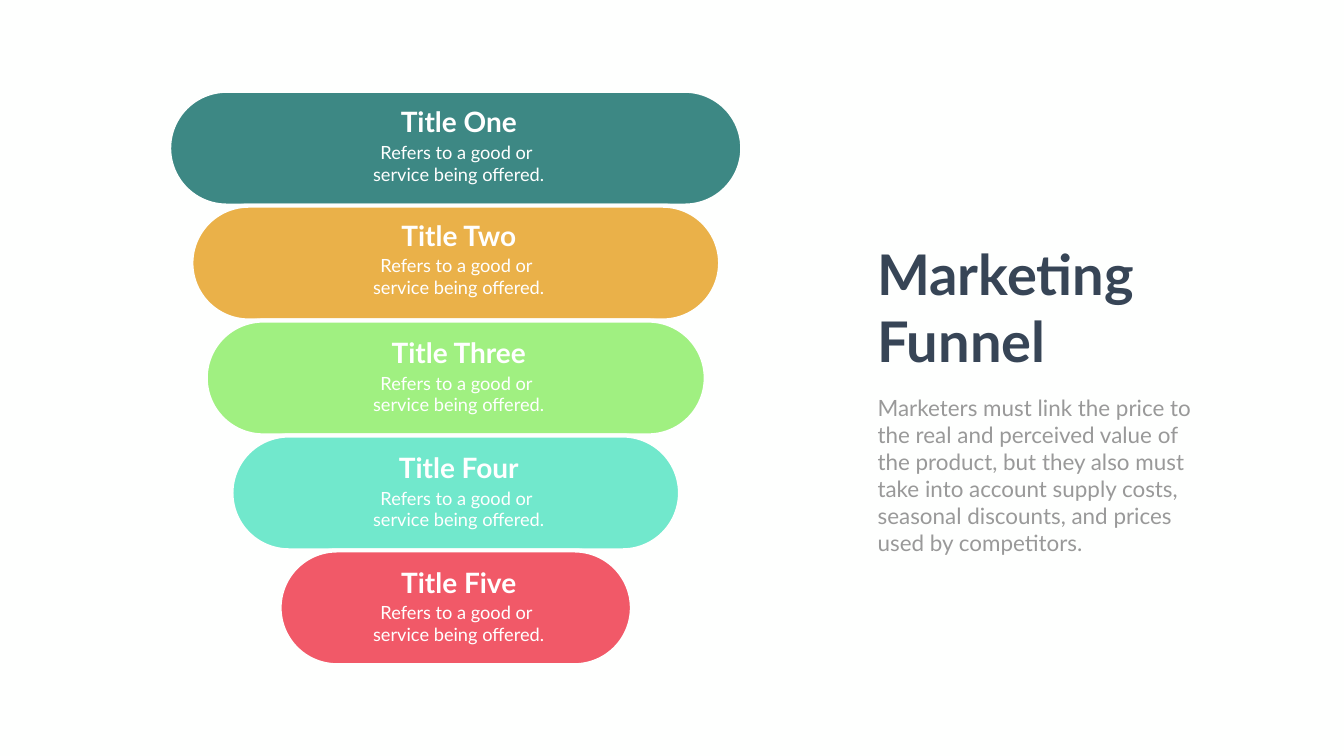
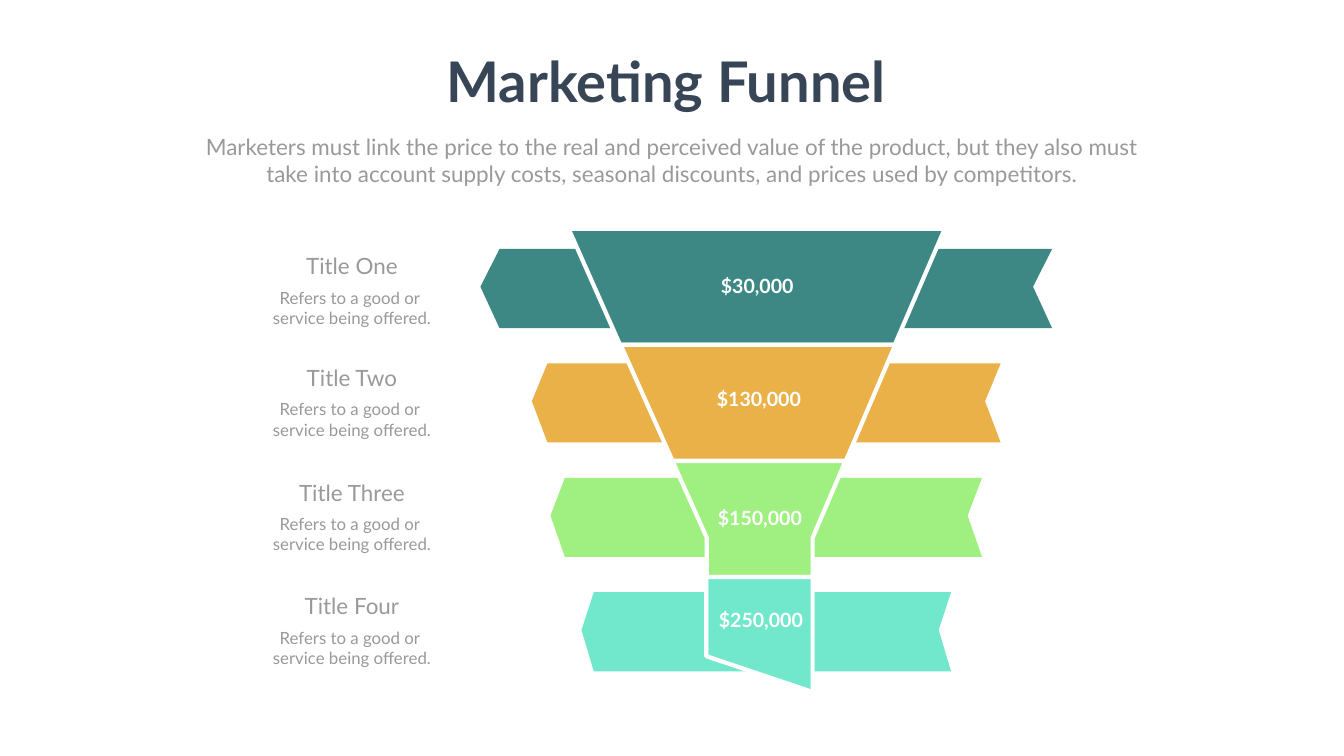
from pptx import Presentation
from pptx.dml.color import RGBColor
from pptx.enum.shapes import MSO_SHAPE
from pptx.enum.text import PP_ALIGN
from pptx.util import Inches, Pt

FONT = "Lato"
PAPER, WHITE, NAVY, GRAY = "FEFFFE", "FFFFFF", "374556", "999999"
COLORS = ["3D8884", "EAB149", "A0F081", "71E8CC", "F15968"]
INSET = 0.1  # default side margin of a text box

HEADING = "Marketing Funnel"
INTRO = ("Marketers must link the price to the real and perceived value of the product, "
         "but they also must take into account supply costs, seasonal discounts, "
         "and prices used by competitors.")
DESCRIPTION = ["Refers to a good or ", "service being offered."]
DESCRIPTION_EM = 9.58  # text width divided by text size

# label, text width divided by text size
STAGES = [("Title One", 4.21), ("Title Two", 4.28), ("Title Three", 4.91),
          ("Title Four", 4.37), ("Title Five", 4.18)]

# pill width, label top
PILLS = [(11.37, 2.03), (10.49, 4.28), (9.92, 6.61), (8.9, 8.89), (6.99, 11.17)]
PILL_CENTER, PILL_TOP, PILL_HEIGHT = 9.04, 1.8, 2.28

# ribbon width, label top, amount, its left, top and width
RIBBONS = [
    (11.34, 4.95, "$30,000", 14.2, 5.38, 1.66),
    (9.3, 7.17, "$130,000", 14.12, 7.63, 1.89),
    (8.56, 9.45, "$150,000", 14.14, 9.99, 1.89),
    (7.33, 11.7, "$250,000", 14.16, 12.02, 1.89),
]
RIBBON_CENTER, RIBBON_TOP, RIBBON_HEIGHT, RIBBON_PITCH = 15.2, 4.94, 1.57, 2.27

FUNNEL = [
    [(11.28, 4.54), (18.74, 4.54), (17.75, 6.84), (12.3, 6.84)],
    [(12.31, 6.84), (17.76, 6.84), (16.78, 9.14), (13.34, 9.14)],
    [(13.34, 9.15), (16.77, 9.15), (16.12, 10.67), (16.12, 11.45),
     (14.02, 11.45), (14.02, 10.67)],
    [(14.01, 11.45), (16.12, 11.45), (16.12, 13.73), (14.01, 13.02)],
]


def rgb(color):
    return RGBColor.from_string(color)


def add_slide(deck):
    slide = deck.slides.add_slide(deck.slide_layouts[6])
    slide.background.fill.solid()
    slide.background.fill.fore_color.rgb = rgb(PAPER)
    return slide


def paint(shape, color, outlined):
    shape.shadow.inherit = False
    shape.fill.solid()
    shape.fill.fore_color.rgb = rgb(color)
    if outlined:
        shape.line.color.rgb = rgb(PAPER)
        shape.line.width = Pt(6)
    else:
        shape.line.fill.background()


def add_polygon(slide, points, color, outlined=False):
    first, *rest = [(Inches(x), Inches(y)) for x, y in points]
    builder = slide.shapes.build_freeform(*first)
    builder.add_line_segments(rest, close=True)
    paint(builder.convert_to_shape(), color, outlined)


def add_text(slide, lines, left, top, width, size, color, bold=False,
             align=PP_ALIGN.CENTER, wrap=False, rows=None):
    """Write one paragraph per line in a box as high as its rows of text."""
    height = (rows or len(lines)) * size / 60 + INSET
    frame = slide.shapes.add_textbox(
        Inches(left), Inches(top), Inches(width), Inches(height)).text_frame
    frame.word_wrap = wrap
    for index, line in enumerate(lines):
        paragraph = frame.add_paragraph() if index else frame.paragraphs[0]
        paragraph.alignment = align
        run = paragraph.add_run()
        run.text = line
        run.font.name = FONT
        run.font.size = Pt(size)
        run.font.bold = bold
        run.font.color.rgb = rgb(color)


def add_stage(slide, stage, center, top, drop, label_size, text_size, color, bold):
    """Write a stage label with its description `drop` inches below."""
    label, label_em = stage
    for lines, em, y, size, strong in (
            (DESCRIPTION, DESCRIPTION_EM, top + drop, text_size, False),
            ([label], label_em, top, label_size, bold)):
        width = em * size / 72 + 2 * INSET
        add_text(slide, lines, center - width / 2, y, width, size, color, strong)


def build_pill_slide(deck):
    slide = add_slide(deck)
    for row, ((width, _), color) in enumerate(zip(PILLS, COLORS)):
        pill = slide.shapes.add_shape(
            MSO_SHAPE.ROUNDED_RECTANGLE, Inches(PILL_CENTER - width / 2),
            Inches(PILL_TOP + row * PILL_HEIGHT), Inches(width), Inches(PILL_HEIGHT))
        pill.adjustments[0] = 0.5
        paint(pill, color, outlined=True)
    add_text(slide, [HEADING], 17.3, 4.7, 5.57, 80, NAVY, True,
             PP_ALIGN.LEFT, wrap=True, rows=2)
    add_text(slide, [INTRO], 17.31, 7.78, 6.63, 32, GRAY,
             align=PP_ALIGN.LEFT, wrap=True, rows=6)
    for stage, (_, label_top) in zip(STAGES, PILLS):
        add_stage(slide, stage, 9.1, label_top, 0.72, 40, 26, WHITE, True)


def ribbon_points(width, top):
    left, right = RIBBON_CENTER - width / 2, RIBBON_CENTER + width / 2
    bottom, middle, notch = top + RIBBON_HEIGHT, top + 0.75, width / 30
    return [(left + notch, top), (right, top), (right - notch, middle),
            (right, bottom), (left + notch, bottom), (left, middle)]


def build_ribbon_slide(deck):
    slide = add_slide(deck)
    for row, ((width, *_), color) in enumerate(zip(RIBBONS, COLORS)):
        add_polygon(slide, ribbon_points(width, RIBBON_TOP + row * RIBBON_PITCH), color)
    for points, color in zip(FUNNEL, COLORS):
        add_polygon(slide, points, color, outlined=True)
    add_text(slide, [HEADING], 8.65, 0.87, 9.13, 80, NAVY, True)
    add_text(slide, [INTRO], 3.79, 2.6, 19.08, 32, GRAY, wrap=True, rows=2)
    for stage, (_, label_top, amount, left, top, width) in zip(STAGES, RIBBONS):
        add_text(slide, [amount], left, top, width, 28, WHITE, True, PP_ALIGN.LEFT)
        add_stage(slide, stage, 6.98, label_top, 0.7, 32, 24, GRAY, False)


def main():
    deck = Presentation()
    deck.slide_width, deck.slide_height = Inches(26.66), Inches(15)
    build_pill_slide(deck)
    build_ribbon_slide(deck)
    deck.save("out.pptx")


if __name__ == "__main__":
    main()
